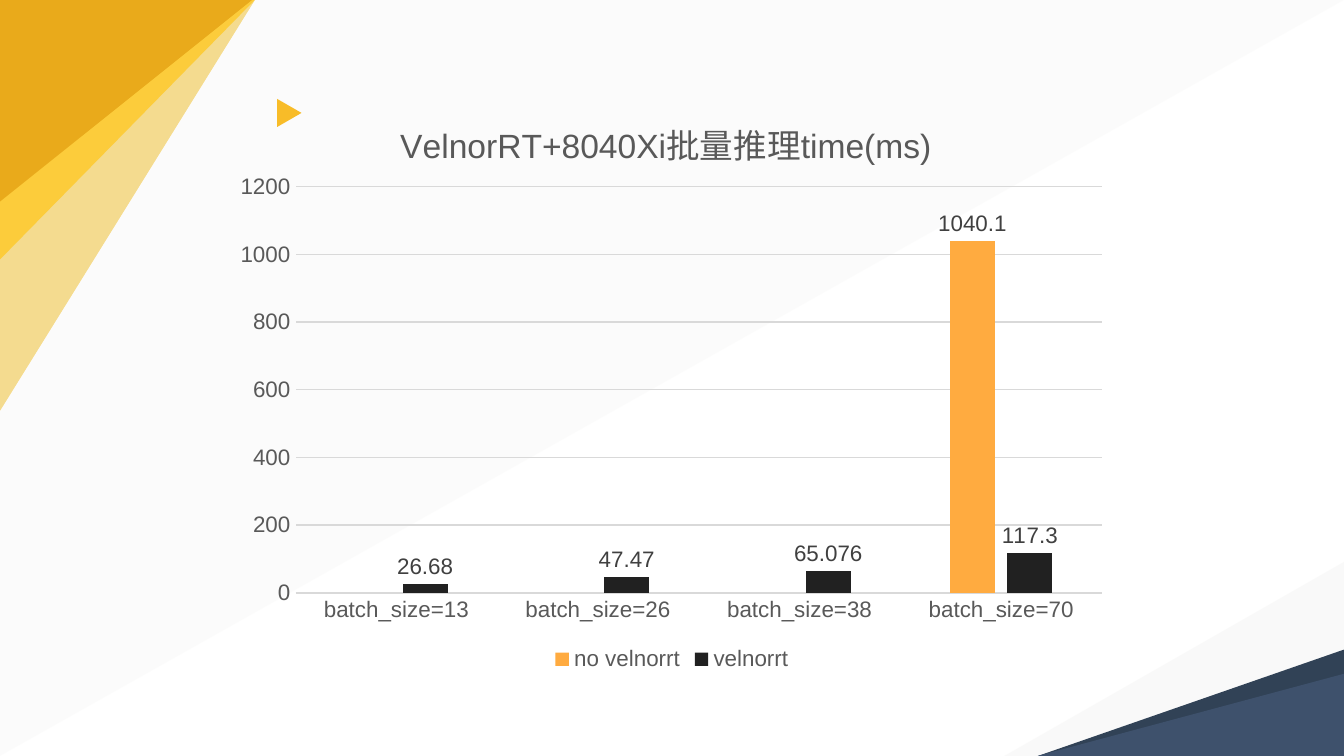
from dataclasses import dataclass

from lxml import etree
from pptx import Presentation
from pptx.chart.data import CategoryChartData
from pptx.dml.color import RGBColor
from pptx.enum.chart import (
    XL_CHART_TYPE, XL_LABEL_POSITION, XL_LEGEND_POSITION, XL_TICK_MARK)
from pptx.oxml.ns import qn
from pptx.util import Pt

COLUMN = XL_CHART_TYPE.COLUMN_CLUSTERED
ABOVE = XL_LABEL_POSITION.OUTSIDE_END
BOTTOM = XL_LEGEND_POSITION.BOTTOM
NO_TICK = XL_TICK_MARK.NONE


@dataclass(frozen=True)
class Theme:
    font: str = "Arial"
    head: int = 18
    body: int = 12
    text: str = "595959"
    label: str = "404040"
    grid: str = "D9D9D9"
    mist: str = "EDEDEB"
    sun: str = "FCCC3B"
    gold: str = "E9AA1B"
    mark: str = "F8BC28"
    navy: str = "314256"
    blue: str = "3E516C"
    bars: tuple = ("FFAB40", "212121")


THEME = Theme()
WIDTH, HEIGHT = 720, 405


def rgb(code):
    return RGBColor.from_string(code)


def style(font, size, color):
    looks = {"name": THEME.font, "size": Pt(size), "bold": False}
    for key, value in looks.items():
        setattr(font, key, value)
    font.color.rgb = rgb(color)


def wedge(slide, points, color, alpha=100):
    spots = [(Pt(x), Pt(y)) for x, y in points]
    pen = slide.shapes.build_freeform(*spots[0])
    pen.add_line_segments(spots[1:], close=True)
    shape = pen.convert_to_shape()
    shape.shadow.inherit = False
    shape.line.fill.background()
    shape.fill.solid()
    shape.fill.fore_color.rgb = rgb(color)
    if alpha < 100:
        tone = shape.fill._xPr.find(qn("a:solidFill"))[0]
        etree.SubElement(tone, qn("a:alpha"), val=str(alpha * 1000))


def corner(slide, x, y, layers):
    for width, height, color, alpha in layers:
        points = [(x, y), (x + width, y), (x, y + height)]
        wedge(slide, points, color, alpha)


def marker(slide, x, y, width, height):
    points = [(x, y), (x + width, y + height / 2), (x, y + height)]
    wedge(slide, points, THEME.mark)


def arrange(node, index, **parts):
    old = node.find(qn("c:layout"))
    if old is not None:
        node.remove(old)
    frame = etree.Element(qn("c:layout"))
    node.insert(index, frame)
    manual = etree.SubElement(frame, qn("c:manualLayout"))
    for tag, value in parts.items():
        etree.SubElement(manual, qn("c:" + tag), val=str(value))


def timing(slide, x, y, width, height):
    data = CategoryChartData()
    data.categories = [f"batch_size={size}" for size in (13, 26, 38, 70)]
    data.add_series("no velnorrt", (None, None, None, 1040.1))
    data.add_series("velnorrt", (26.68, 47.47, 65.076, 117.3))
    box = [Pt(side) for side in (x, y, width, height)]
    chart = slide.shapes.add_chart(COLUMN, *box, data).chart
    style(chart.font, THEME.body, THEME.text)

    chart.has_title = True
    frame = chart.chart_title.text_frame
    frame.text = "VelnorRT+8040Xi批量推理time(ms)"
    style(frame.paragraphs[0].runs[0].font, THEME.head, THEME.text)
    arrange(chart.chart_title._element, 1,
            xMode="edge", yMode="edge", x=0.19, y=0.05)

    chart.has_legend = True
    chart.legend.position = BOTTOM
    chart.legend.include_in_layout = False
    style(chart.legend.font, THEME.body, THEME.text)

    plot = chart.plots[0]
    for key, value in {"gap_width": 219, "overlap": -27,
                       "vary_by_categories": False}.items():
        setattr(plot, key, value)
    for series, color in zip(plot.series, THEME.bars):
        series.format.fill.solid()
        series.format.fill.fore_color.rgb = rgb(color)
        labels = series.data_labels
        labels.show_value = True
        labels.position = ABOVE
        style(labels.font, THEME.body, THEME.label)

    cats, vals = chart.category_axis, chart.value_axis
    for axis in (cats, vals):
        axis.major_tick_mark = axis.minor_tick_mark = NO_TICK
        style(axis.tick_labels.font, THEME.body, THEME.text)
    for key, value in {"minimum_scale": 0, "maximum_scale": 1200,
                       "major_unit": 200}.items():
        setattr(vals, key, value)
    vals.format.line.fill.background()
    for line in (cats.format.line, vals.major_gridlines.format.line):
        line.width = Pt(0.75)
        line.color.rgb = rgb(THEME.grid)
    arrange(chart._chartSpace.chart.plotArea, 0, layoutTarget="inner",
            xMode="edge", yMode="edge", x=0.08, y=0.18, w=0.9, h=0.68)


def main():
    deck = Presentation()
    deck.slide_width, deck.slide_height = Pt(WIDTH), Pt(HEIGHT)
    slide = deck.slides.add_slide(deck.slide_layouts[6])
    corner(slide, 0, 0, [
        (WIDTH, HEIGHT, THEME.mist, 17),
        (136.5, 220, THEME.sun, 100),
        (136.5, 220, THEME.mist, 48),
        (136.5, 139, THEME.sun, 100),
        (135, 108, THEME.gold, 100),
    ])
    corner(slide, WIDTH, HEIGHT, [
        (-182, -104, THEME.mist, 28),
        (-164, -57, THEME.navy, 100),
        (-164, -44, THEME.blue, 100),
    ])
    marker(slide, 148.5, 53, 13, 15)
    timing(slide, 120, 42.5, 480, 320)
    deck.save("out.pptx")


if __name__ == "__main__":
    main()
